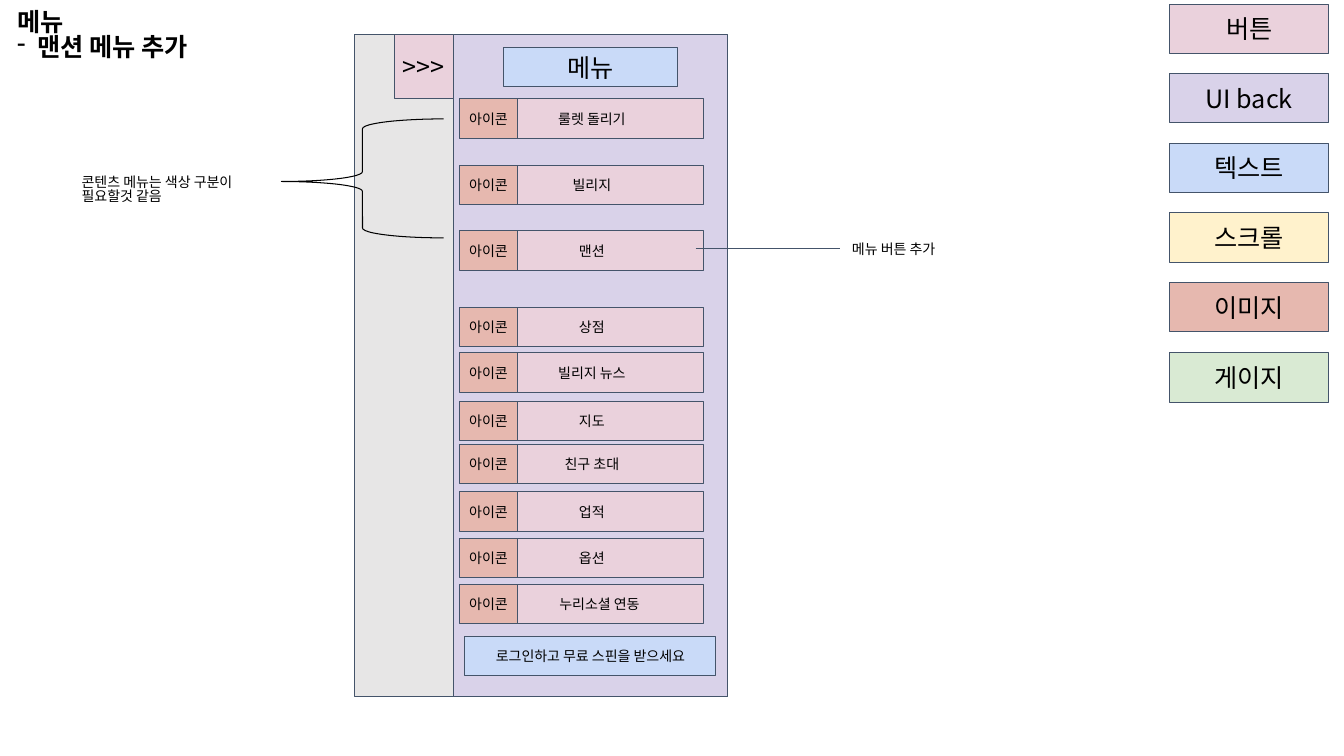
from lxml import etree
from pptx import Presentation
from pptx.dml.color import RGBColor
from pptx.enum.shapes import MSO_CONNECTOR, MSO_SHAPE
from pptx.enum.text import MSO_ANCHOR, MSO_AUTO_SIZE, PP_ALIGN
from pptx.oxml.ns import qn
from pptx.util import Pt

RECTANGLE, LEFT_BRACE = MSO_SHAPE.RECTANGLE, MSO_SHAPE.LEFT_BRACE
STRAIGHT = MSO_CONNECTOR.STRAIGHT
TOP, MIDDLE = MSO_ANCHOR.TOP, MSO_ANCHOR.MIDDLE
LEFT, CENTER = PP_ALIGN.LEFT, PP_ALIGN.CENTER
NO_FIT = MSO_AUTO_SIZE.NONE

BLACK = RGBColor(0x00, 0x00, 0x00)
SLATE = RGBColor(0x44, 0x54, 0x6A)
GREY = RGBColor(0xE7, 0xE6, 0xE6)
PINK = RGBColor(0xEA, 0xD1, 0xDC)
LILAC = RGBColor(0xD9, 0xD2, 0xE9)
BLUE = RGBColor(0xC9, 0xDA, 0xF8)
CREAM = RGBColor(0xFF, 0xF2, 0xCC)
SALMON = RGBColor(0xE6, 0xB8, 0xAF)
GREEN = RGBColor(0xD9, 0xEA, 0xD3)

EMU_PER_PX = 9144
FONT = "Noto Sans CJK KR"
LARGE, SMALL = 18, 10
TIGHT = 0.83

LEGEND = [("버튼", PINK), ("UI back", LILAC), ("텍스트", BLUE),
          ("스크롤", CREAM), ("이미지", SALMON), ("게이지", GREEN)]
MENU_ROWS = [("룰렛 돌리기", 98), ("빌리지", 164), ("맨션", 229), ("상점", 305),
             ("빌리지 뉴스", 350), ("지도", 398), ("친구 초대", 441),
             ("업적", 488), ("옵션", 534), ("누리소셜 연동", 580)]
ROW_HEIGHT = 39


def px(*lengths):
    return [length * EMU_PER_PX for length in lengths]


class MenuPage:
    """Draws styled wireframe elements on the current slide."""

    def __init__(self, page):
        self.page = page

    def set_text(self, box, text, size, align, anchor, bold=False, spacing=None):
        frame = box.text_frame
        frame.text = text
        frame.word_wrap = True
        frame.auto_size = NO_FIT
        frame.vertical_anchor = anchor
        frame.margin_left = frame.margin_right = 0
        frame.margin_top = frame.margin_bottom = 0
        for para in frame.paragraphs:
            para.alignment = align
            if spacing:
                para.line_spacing = spacing
            for span in para.runs:
                span.font.name = FONT
                span.font.size = Pt(size)
                span.font.bold = bold
                span.font.color.rgb = BLACK
                east_asian = etree.SubElement(span._r.get_or_add_rPr(), qn("a:ea"))
                east_asian.set("typeface", FONT)
        return frame

    def title(self, heading, item, left, top, width, height):
        box = self.page.shapes.title
        box.left, box.top, box.width, box.height = px(left, top, width, height)
        frame = self.set_text(box, f"{heading}\n{item}", LARGE, LEFT, TOP, True, TIGHT)
        indent = 20 * EMU_PER_PX
        properties = frame.paragraphs[1]._p.get_or_add_pPr()
        properties.set("marL", str(indent))
        properties.set("indent", str(-indent))
        etree.SubElement(properties, qn("a:buChar")).set("char", "-")

    def box(self, left, top, width, height, fill, text="", size=SMALL):
        box = self.page.shapes.add_shape(RECTANGLE, *px(left, top, width, height))
        box.shadow.inherit = False
        box.fill.solid()
        box.fill.fore_color.rgb = fill
        box.line.color.rgb = SLATE
        box.line.width = Pt(0.75)
        if text:
            self.set_text(box, text, size, CENTER, MIDDLE)
        return box

    def note(self, text, left, top, width, height):
        box = self.page.shapes.add_textbox(*px(left, top, width, height))
        self.set_text(box, text, SMALL, LEFT, MIDDLE, spacing=TIGHT)

    def line(self, *ends):
        line = self.page.shapes.add_connector(STRAIGHT, *px(*ends))
        line.line.color.rgb = SLATE
        line.line.width = Pt(0.75)
        etree.SubElement(line._element.spPr, qn("a:effectLst"))

    def brace(self, left, top, width, height):
        brace = self.page.shapes.add_shape(LEFT_BRACE, *px(left, top, width, height))
        brace.shadow.inherit = False
        brace.adjustments[0] = 0.083
        brace.adjustments[1] = 0.526
        brace.fill.background()
        brace.line.color.rgb = BLACK
        brace.line.width = Pt(0.75)


def main():
    deck = Presentation()
    deck.slide_width, deck.slide_height = px(1333, 750)
    menu = MenuPage(deck.slides.add_slide(deck.slide_layouts[5]))

    menu.title("메뉴", "맨션 메뉴 추가", 17, 11, 262, 118)
    for index, (label, fill) in enumerate(LEGEND):
        menu.box(1160, 4 + index * 346 // 5, 158, 49, fill, label, LARGE)

    menu.box(352, 34, 370, 657, GREY)
    menu.box(450, 34, 272, 657, LILAC)
    menu.box(391, 34, 59, 64, PINK, ">>>", LARGE)
    menu.box(499, 47, 173, ROW_HEIGHT, BLUE, "메뉴", LARGE)

    for label, top in MENU_ROWS:
        button = menu.box(476, top, 222, ROW_HEIGHT, PINK, label)
        menu.box(456, top, 57, ROW_HEIGHT, SALMON, "아이콘")
    button.text_frame.margin_left = 15 * EMU_PER_PX
    menu.box(461, 631, 249, ROW_HEIGHT, BLUE, "로그인하고 무료 스핀을 받으세요")

    menu.line(690, 247, 833, 247)
    menu.note("메뉴 버튼 추가", 845, 197, 192, 103)
    menu.brace(279, 118, 161, 118)
    menu.note("콘텐츠 메뉴는 색상 구분이 필요할것 같음", 81, 137, 192, 103)

    deck.save("out.pptx")


if __name__ == "__main__":
    main()
